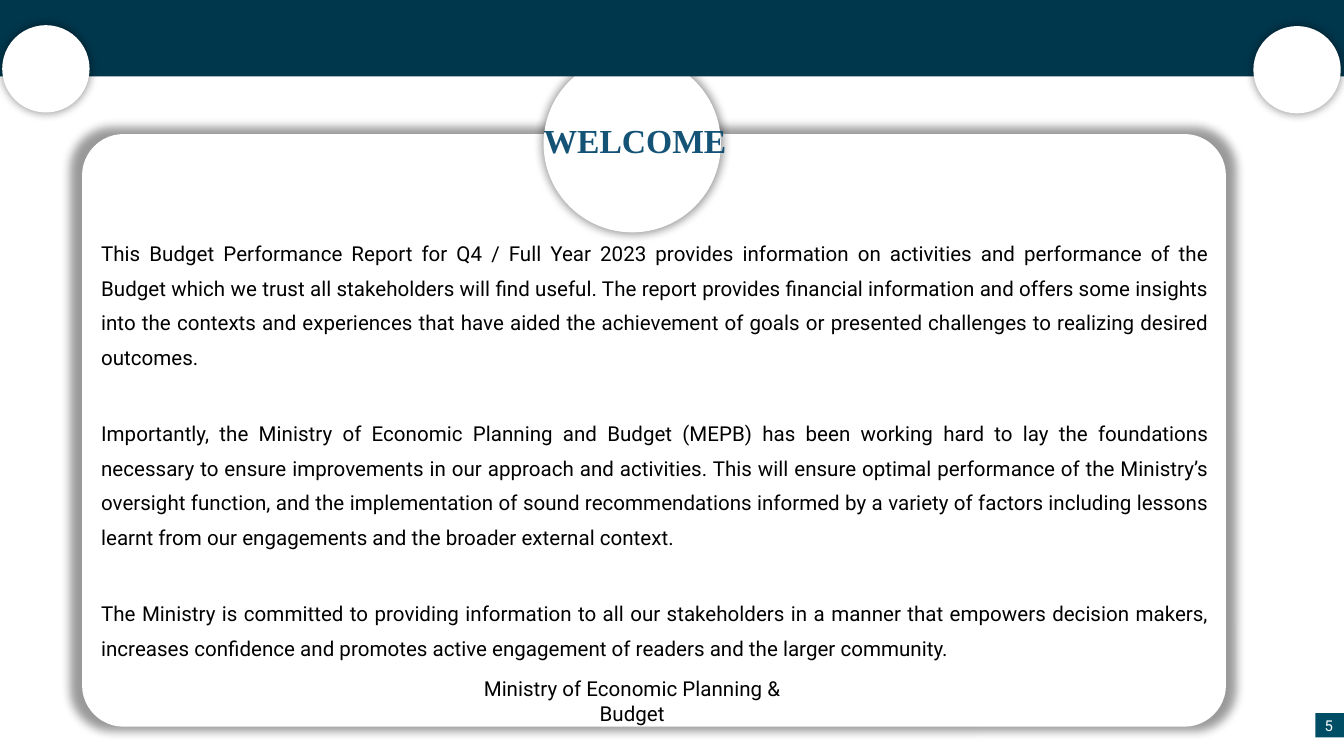
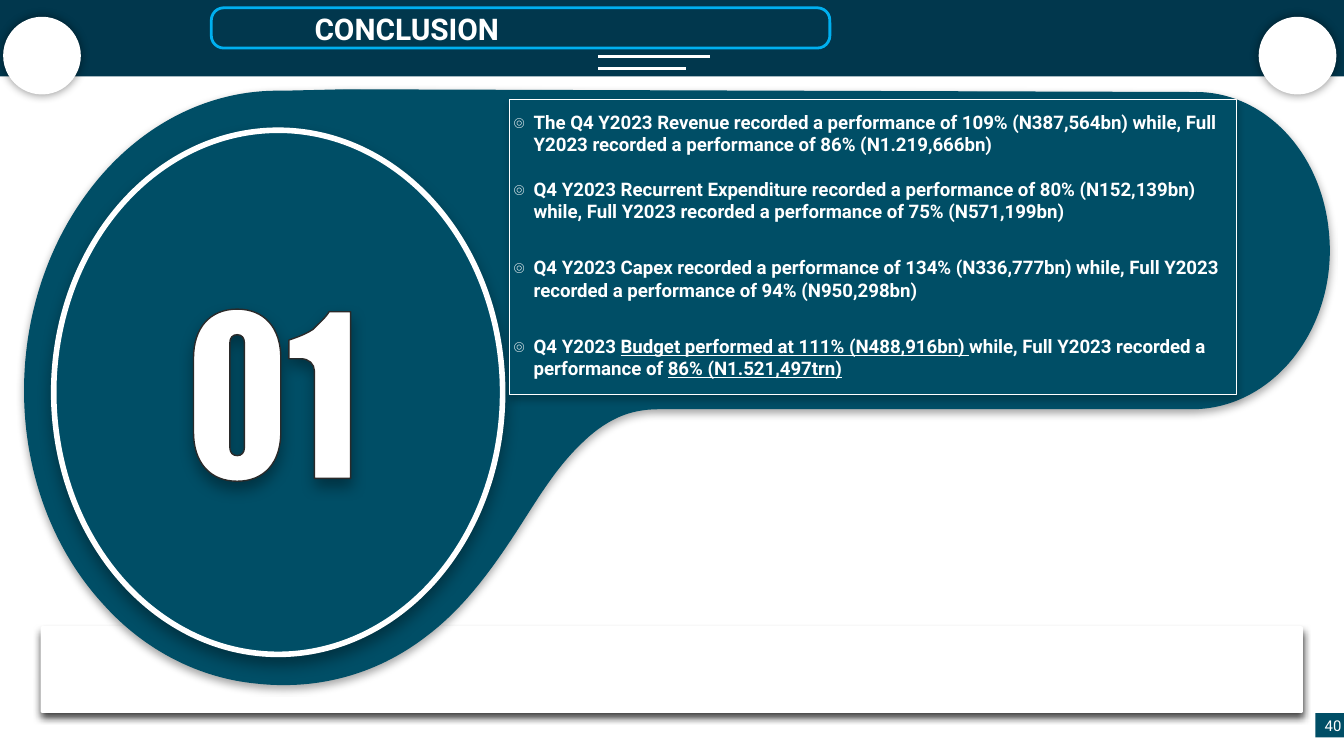
"""Build the welcome and conclusion slides of the budget performance report."""
from lxml.etree import SubElement
from pptx import Presentation
from pptx.dml.color import RGBColor
from pptx.enum.shapes import MSO_CONNECTOR, MSO_SHAPE
from pptx.enum.text import MSO_ANCHOR, MSO_AUTO_SIZE, PP_ALIGN
from pptx.oxml.ns import qn
from pptx.util import Pt

WHITE, BLACK, NAVY, TEAL = "FFFFFF", "000000", "01374D", "004E66"
SKY, TITLE_BLUE, CHARCOAL = "00B0F0", "145376", "2A2A2A"
GLOW = (40, 5, 0, 102)
DEEP = (35, 8, 4, 100)
INSETS = (5, 3, 5, 3)
BODY = {"name": "Roboto", "size": Pt(11)}
BULLET = {"name": "Roboto", "size": Pt(10), "bold": True}
NUMBER = {"name": "Roboto", "size": Pt(8)}


def paint(shape, fill=None, line=None, width=0.75, shadow=None):
    """Set fill, line and shadow, given as opacity, blur, distance and scale."""
    shape.shadow.inherit = False
    if fill:
        shape.fill.solid()
        shape.fill.fore_color.rgb = RGBColor.from_string(fill)
    else:
        shape.fill.background()
    if line:
        shape.line.color.rgb = RGBColor.from_string(line)
        shape.line.width = Pt(width)
    else:
        shape.line.fill.background()
    if shadow:
        opacity, blur, distance, scale = shadow
        effects = shape._element.spPr.find(qn("a:effectLst"))
        outer = SubElement(effects, qn("a:outerShdw"), blurRad=str(Pt(blur)),
                           dist=str(Pt(distance)), dir="5400000", sx=str(scale * 1000),
                           sy=str(scale * 1000), algn="ctr", rotWithShape="0")
        tint = SubElement(outer, qn("a:srgbClr"), val=BLACK)
        SubElement(tint, qn("a:alpha"), val=str(opacity * 1000))


def write(shape, paragraphs, font, color, insets=INSETS, anchor=MSO_ANCHOR.TOP,
          layout=None, bullet=None):
    """Write paragraphs of (space before, spans); every second span is underlined."""
    frame = shape.text_frame
    settings = dict(zip(("margin_left", "margin_top", "margin_right", "margin_bottom"),
                        map(Pt, insets)))
    settings.update(word_wrap=True, auto_size=MSO_AUTO_SIZE.NONE, vertical_anchor=anchor)
    for name, value in settings.items():
        setattr(frame, name, value)
    for index, (gap, spans) in enumerate(paragraphs):
        para = frame.add_paragraph() if index else frame.paragraphs[0]
        if bullet:
            properties = para._p.get_or_add_pPr()
            properties.set("marL", str(Pt(11)))
            properties.set("indent", str(-Pt(11)))
            tint = SubElement(properties, qn("a:buClr"))
            SubElement(tint, qn("a:srgbClr"), val=color)
            SubElement(properties, qn("a:buFont"), typeface=font["name"])
            SubElement(properties, qn("a:buChar"), char=bullet)
        for name, value in {"alignment": PP_ALIGN.LEFT, **(layout or {})}.items():
            setattr(para, name, value)
        if gap:
            para.space_before = Pt(gap)
        for position, text in enumerate(spans):
            span = para.add_run()
            span.text = text
            for name, value in font.items():
                setattr(span.font, name, value)
            span.font.color.rgb = RGBColor.from_string(color)
            if position % 2:
                span.font.underline = True


deck = Presentation()
deck.slide_width, deck.slide_height = Pt(720), Pt(405)
welcome, conclusion = (deck.slides.add_slide(deck.slide_layouts[5]) for _ in range(2))

card = welcome.shapes.add_shape(MSO_SHAPE.ROUNDED_RECTANGLE, Pt(44), Pt(71.8), Pt(612.8), Pt(317.5))
card.adjustments[0] = 0.07
paint(card, WHITE, shadow=GLOW)
medallion = welcome.shapes.add_shape(MSO_SHAPE.FLOWCHART_CONNECTOR, Pt(291.2), Pt(29.5), Pt(95), Pt(95))
paint(medallion, WHITE, shadow=GLOW)

message = [
    (0, ["This Budget Performance Report for Q4 / Full Year 2023 provides information on activities "
         "and performance of the Budget which we trust all stakeholders will find useful. The report "
         "provides financial information and offers some insights into the contexts and experiences "
         "that have aided the achievement of goals or presented challenges to realizing desired "
         "outcomes."]),
    (22.5, ["Importantly, the Ministry of Economic Planning and Budget (MEPB) has been working hard to "
            "lay the foundations necessary to ensure improvements in our approach and activities. This "
            "will ensure optimal performance of the Ministry’s oversight function, and the "
            "implementation of sound recommendations informed by a variety of factors including "
            "lessons learnt from our engagements and the broader external context."]),
    (22.5, ["The Ministry is committed to providing information to all our stakeholders in a manner "
            "that empowers decision makers, increases confidence and promotes active engagement of "
            "readers and the larger community."]),
]
body = welcome.shapes.add_textbox(Pt(49.2), Pt(121), Pt(604), Pt(237.6))
write(body, message, BODY, BLACK, layout={"alignment": PP_ALIGN.JUSTIFY, "line_spacing": 1.4})
signature = welcome.shapes.add_textbox(Pt(236.2), Pt(359.3), Pt(205), Pt(19))
write(signature, [(0, ["Ministry of Economic Planning & Budget"])], BODY, BLACK,
      layout={"alignment": PP_ALIGN.CENTER})

bar = conclusion.shapes.add_shape(MSO_SHAPE.ROUNDED_RECTANGLE, Pt(21.8), Pt(335.5), Pt(676.2), Pt(46.5))
bar.adjustments[0] = 0.02
paint(bar, WHITE, shadow=(75, 4, 2.4, 100))

blob_contours = [[
    (151.2, 49),
    (113.8, 48.2, 78.5, 65.5, 52.6, 96.5),
    (-0.7, 160.6, 0, 262.8, 55.4, 323.3),
    (77.8, 348.5, 107.3, 362.9, 136.8, 365.8),
    (167.8, 369.4, 200.2, 362.2, 228.2, 340.6),
    (245.5, 327.6, 259.2, 310.3, 272.2, 290.9),
    (284.4, 272.9, 295.2, 252.7, 311, 237.6),
    (316.8, 231.8, 323.3, 226.8, 331.2, 223.2),
    (337.7, 220.3, 344.9, 218.9, 352.8, 218.9),
    (639.4, 218.9),
    (683.3, 218.2, 717.1, 173.5, 711.4, 123.1),
    (707, 80.6, 676.1, 49, 639.4, 49.7),
    (185, 48.2),
]]
digit_contours = [[
    (176.4, 167),
    (174.2, 170.6, 170.6, 173.5, 167.8, 176.4),
    (163.4, 179.3, 159.1, 180.7, 154.8, 182.2),
    (154.8, 192.2),
    (161.3, 192.2),
    (165.5, 192.2, 168.5, 195, 168.5, 198.7),
    (168.5, 256.3),
    (187.9, 256.3),
    (187.9, 167),
]]
middle_x, middle_y = 127.1, 211.7
for half_width, half_height, shoulder in ((23.4, 46.1, 19.8), (3.9, 32.4, 28.1)):
    left, right = middle_x - half_width, middle_x + half_width
    top, bottom = middle_y - half_height, middle_y + half_height
    upper, lower = middle_y - shoulder, middle_y + shoulder
    bend, rise = half_width * 0.62, (half_height - shoulder) * 0.62
    digit_contours.append([
        (middle_x, top),
        (middle_x - bend, top, left, upper - rise, left, upper),
        (left, lower),
        (left, lower + rise, middle_x - bend, bottom, middle_x, bottom),
        (middle_x + bend, bottom, right, lower + rise, right, lower),
        (right, upper),
        (right, upper - rise, middle_x + bend, top, middle_x, top),
    ])

ring = conclusion.shapes.add_shape(MSO_SHAPE.OVAL, Pt(28.8), Pt(69.8), Pt(240.5), Pt(280.8))
paint(ring, TEAL, WHITE, 3, DEEP)
outlines = [
    (blob_contours, (13, 48.2, 712.1, 366.5), TEAL, TEAL, (35, 4, 2, 100)),
    (digit_contours, (103.7, 165.6, 187.9, 257.8), WHITE, CHARCOAL, DEEP),
]
for contours, (left, top, right, bottom), fill, line, shadow in outlines:
    builder = conclusion.shapes.build_freeform(Pt(left), Pt(top))
    builder.add_line_segments([(Pt(right), Pt(bottom))])
    outline = builder.convert_to_shape()
    route = next(outline._element.iter(qn("a:path")))
    for child in list(route):
        route.remove(child)
    for contour in contours:
        for index, segment in enumerate(contour):
            tag = "a:cubicBezTo" if len(segment) == 6 else "a:lnTo" if index else "a:moveTo"
            command = SubElement(route, qn(tag))
            for x, y in zip(segment[::2], segment[1::2]):
                SubElement(command, qn("a:pt"), x=str(Pt(x - left)), y=str(Pt(y - top)))
        SubElement(route, qn("a:close"))
    paint(outline, fill, line, shadow=shadow)
    if contours is blob_contours:
        ring._element.addprevious(outline._element)

findings_frame = conclusion.shapes.add_shape(MSO_SHAPE.RECTANGLE, Pt(273), Pt(53.3), Pt(389.5), Pt(158.2))
paint(findings_frame, TEAL, WHITE, shadow=(24, 4, 2, 100))
findings = [
    (0, ["The Q4 Y2023 Revenue recorded a performance of 109% (N387,564bn) while, Full Y2023 recorded "
         "a performance of 86% (N1.219,666bn)"]),
    (12, ["Q4 Y2023 Recurrent Expenditure recorded a performance of 80% (N152,139bn) while, Full Y2023 "
          "recorded a performance of 75% (N571,199bn)"]),
    (18, ["Q4 Y2023 Capex recorded a performance of 134% (N336,777bn) while, Full Y2023 recorded a "
          "performance of 94% (N950,298bn)"]),
    (18, ["Q4 Y2023 ", "Budget performed at 111% (N488,916bn) ",
          "while, Full Y2023 recorded a performance of ", "86% (N1.521,497trn)"]),
]
findings_box = conclusion.shapes.add_textbox(Pt(273.4), Pt(57.8), Pt(386), Pt(147))
write(findings_box, findings, BULLET, WHITE, (1.5, 1.5, 1.5, 1.5), MSO_ANCHOR.MIDDLE, bullet="๏")

frames = [
    (welcome, "WELCOME", (286.2, 61.2, 120.2, 27.4), "Times New Roman", 18, TITLE_BLUE,
     "5", 44.8, ((2.2, 14.5), (672.5, 15))),
    (conclusion, "CONCLUSION", (163.5, 2.9, 152, 24.5), "Roboto", 16, WHITE,
     "40", 39.6, ((2.7, 10), (675.3, 10))),
]
for page, heading, place, typeface, size, color, number, diameter, corners in frames:
    band = page.shapes.add_shape(MSO_SHAPE.RECTANGLE, Pt(0), Pt(0), Pt(720), Pt(41))
    paint(band, NAVY)
    for x, y in corners:
        disc = page.shapes.add_shape(MSO_SHAPE.FLOWCHART_CONNECTOR, Pt(x), Pt(y), Pt(diameter), Pt(diameter))
        paint(disc, WHITE, WHITE, 2, GLOW)
    tab = page.shapes.add_shape(MSO_SHAPE.RECTANGLE, Pt(704.7), Pt(382), Pt(23), Pt(13))
    paint(tab, TEAL)
    write(tab, [(0, [number])], NUMBER, WHITE, anchor=MSO_ANCHOR.MIDDLE)
    title = page.shapes.title
    for name, value in zip(("left", "top", "width", "height"), place):
        setattr(title, name, Pt(value))
    write(title, [(0, [heading])], {"name": typeface, "size": Pt(size), "bold": True}, color)
    page.shapes._spTree.append(title._element)

pill = conclusion.shapes.add_shape(MSO_SHAPE.ROUNDED_RECTANGLE, Pt(113.2), Pt(4.2), Pt(331.4), Pt(21.6))
pill.adjustments[0] = 0.31
paint(pill, line=SKY, width=1.5)
for y, end in ((30.2, 380.2), (36.7, 367.4)):
    rule = conclusion.shapes.add_connector(MSO_CONNECTOR.STRAIGHT, Pt(320.4), Pt(y), Pt(end), Pt(y))
    rule.line.color.rgb = RGBColor.from_string(WHITE)
    rule.line.width = Pt(1.5)
    SubElement(rule._element.spPr, qn("a:effectLst"))

deck.save("out.pptx")
